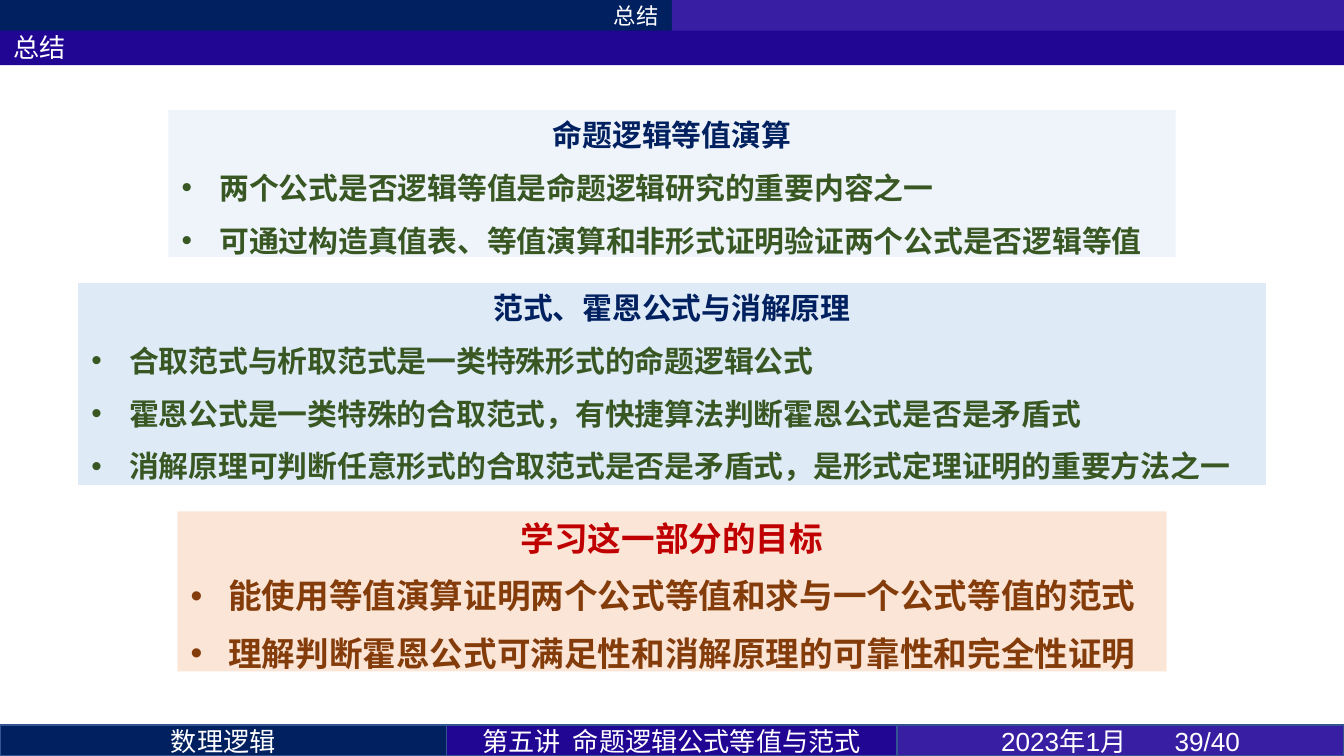
from lxml import etree
from pptx import Presentation
from pptx.dml.color import RGBColor
from pptx.enum.shapes import MSO_SHAPE
from pptx.enum.text import MSO_ANCHOR, MSO_AUTO_SIZE, PP_ALIGN
from pptx.oxml.ns import qn
from pptx.util import Cm, Pt

LEFT, MID, RIGHT = PP_ALIGN.LEFT, PP_ALIGN.CENTER, PP_ALIGN.RIGHT
TOP, CENTER = MSO_ANCHOR.TOP, MSO_ANCHOR.MIDDLE
FIXED, GROW = MSO_AUTO_SIZE.NONE, MSO_AUTO_SIZE.SHAPE_TO_FIT_TEXT
RECT = MSO_SHAPE.RECTANGLE
SANS, HEAD, LATIN = "Noto Sans CJK SC", "Calibri", "Arial"
WIDE, HIGH = 25.4, 14.28
BAR = 0.58
INDENT = 0.71

HEX = {
    "navy": "002060", "indigo": "210694", "violet": "371EA2", "edge": "325491",
    "white": "FFFFFF", "sky": "DEEBF7", "peach": "FBE5D6",
    "green": "385723", "red": "C00000", "brown": "843C0B",
}

# Content
TITLE = "总结"
PANELS = [
    {"head": "命题逻辑等值演算",
     "items": ["两个公式是否逻辑等值是命题逻辑研究的重要内容之一",
               "可通过构造真值表、等值演算和非形式证明验证两个公式是否逻辑等值"],
     "top": 2.08, "wide": 19.04, "high": 3.02, "size": 16, "before": 4.5,
     "fill": "sky", "alpha": 50, "inks": ("navy", "green")},
    {"head": "范式、霍恩公式与消解原理",
     "items": ["合取范式与析取范式是一类特殊形式的命题逻辑公式",
               "霍恩公式是一类特殊的合取范式，有快捷算法判断霍恩公式是否是矛盾式",
               "消解原理可判断任意形式的合取范式是否是矛盾式，是形式定理证明的重要方法之一"],
     "top": 5.35, "wide": 22.45, "high": 4.06, "size": 16, "before": 0,
     "fill": "sky", "alpha": 100, "inks": ("navy", "green")},
    {"head": "学习这一部分的目标",
     "items": ["能使用等值演算证明两个公式等值和求与一个公式等值的范式",
               "理解判断霍恩公式可满足性和消解原理的可靠性和完全性证明"],
     "top": 9.66, "wide": 18.7, "high": 3.27, "size": 18, "before": 0,
     "fill": "peach", "alpha": 100, "inks": ("red", "brown")},
]
TABS = [(TITLE, "navy"), ("", "violet")]
FOOT = [("数理逻辑", "navy", 8.44, SANS),
        ("第五讲  命题逻辑公式等值与范式", "indigo", 8.52, SANS),
        ("2023年1月\t39/40", "violet", 8.44, LATIN)]


def ink(name):
    return RGBColor.from_string(HEX[name])


def place(shape, left, top, wide, high):
    shape.left, shape.top = Cm(left), Cm(top)
    shape.width, shape.height = Cm(wide), Cm(high)


def paint(shape, fill, alpha=100):
    shape.fill.solid()
    shape.fill.fore_color.rgb = ink(fill)
    if alpha < 100:
        color = shape.fill._xPr.find(".//" + qn("a:srgbClr"))
        etree.SubElement(color, qn("a:alpha"), val=str(alpha * 1000))


def frame(shape, anchor, fit):
    text = shape.text_frame
    text.word_wrap, text.vertical_anchor, text.auto_size = True, anchor, fit
    return text


def style(para, font, size, color, align, bold=False):
    para.alignment = align
    para.line_spacing = 1.0
    para.font.name, para.font.size, para.font.bold = font, Pt(size), bold
    para.font.color.rgb = ink(color)


def space(para, before, after):
    para.space_before, para.space_after = Pt(before), Pt(after)


def bullet(para, char):
    props = para._p.get_or_add_pPr()
    step = Cm(INDENT) if char else 0
    props.set("marL", str(step))
    props.set("indent", str(-step))
    mark = etree.Element(qn("a:buChar" if char else "a:buNone"))
    if char:
        mark.set("char", char)
    props.insert_element_before(mark, "a:tabLst", "a:defRPr", "a:extLst")


def bar(left, top, wide, fill, words, font, size, align):
    shape = slide.shapes.add_shape(RECT, Cm(left), Cm(top), Cm(wide), Cm(BAR))
    shape.shadow.inherit = False
    paint(shape, fill)
    shape.line.fill.background()
    if words:
        para = frame(shape, CENTER, FIXED).paragraphs[0]
        para.text = words
        style(para, font, size, "white", align)
    return shape


deck = Presentation()
deck.slide_width, deck.slide_height = Cm(WIDE), Cm(HIGH)
slide = deck.slides.add_slide(deck.slide_layouts[4])
title, *bodies = list(slide.placeholders)[:5]

# Title strip
place(title, 0, 0.56, WIDE, 0.67)
paint(title, "indigo")
head = frame(title, CENTER, FIXED).paragraphs[0]
head.text = TITLE
style(head, HEAD, 14, "white", LEFT)

# Summary panels, centred across the slide
for body, panel in zip(bodies, PANELS):
    wide, size = panel["wide"], panel["size"]
    place(body, (WIDE - wide) / 2, panel["top"], wide, panel["high"])
    paint(body, panel["fill"], panel["alpha"])
    text = frame(body, TOP, GROW)
    text.text = "\n".join([panel["head"], *panel["items"]])
    head, *items = text.paragraphs
    style(head, HEAD, size, panel["inks"][0], MID, True)
    space(head, panel["before"], 4.5)
    bullet(head, "")
    for item in items:
        style(item, SANS, size, panel["inks"][1], LEFT, True)
        space(item, 4.5, 4.5)
        bullet(item, "•")
for spare in bodies[len(PANELS):]:
    spare._element.getparent().remove(spare._element)

# Section tabs
half = WIDE / len(TABS)
for i, (words, fill) in enumerate(TABS):
    bar(i * half, 0, half, fill, words, SANS, 12, RIGHT)

# Footer cells
left = 0
for words, fill, wide, font in FOOT:
    dated = "\t" in words
    cell = bar(left, HIGH - BAR, wide, fill, words, font, 14, LEFT if dated else MID)
    cell.line.color.rgb = ink("edge")
    cell.line.width = Pt(1)
    if dated:
        # Page number stands at a tab stop
        cell.text_frame.margin_left = Cm(1.96)
        props = cell.text_frame.paragraphs[0]._p.get_or_add_pPr()
        stops = etree.Element(qn("a:tabLst"))
        etree.SubElement(stops, qn("a:tab"), pos=str(Cm(3.28)), algn="l")
        props.insert_element_before(stops, "a:defRPr", "a:extLst")
    left += wide

deck.save("out.pptx")
